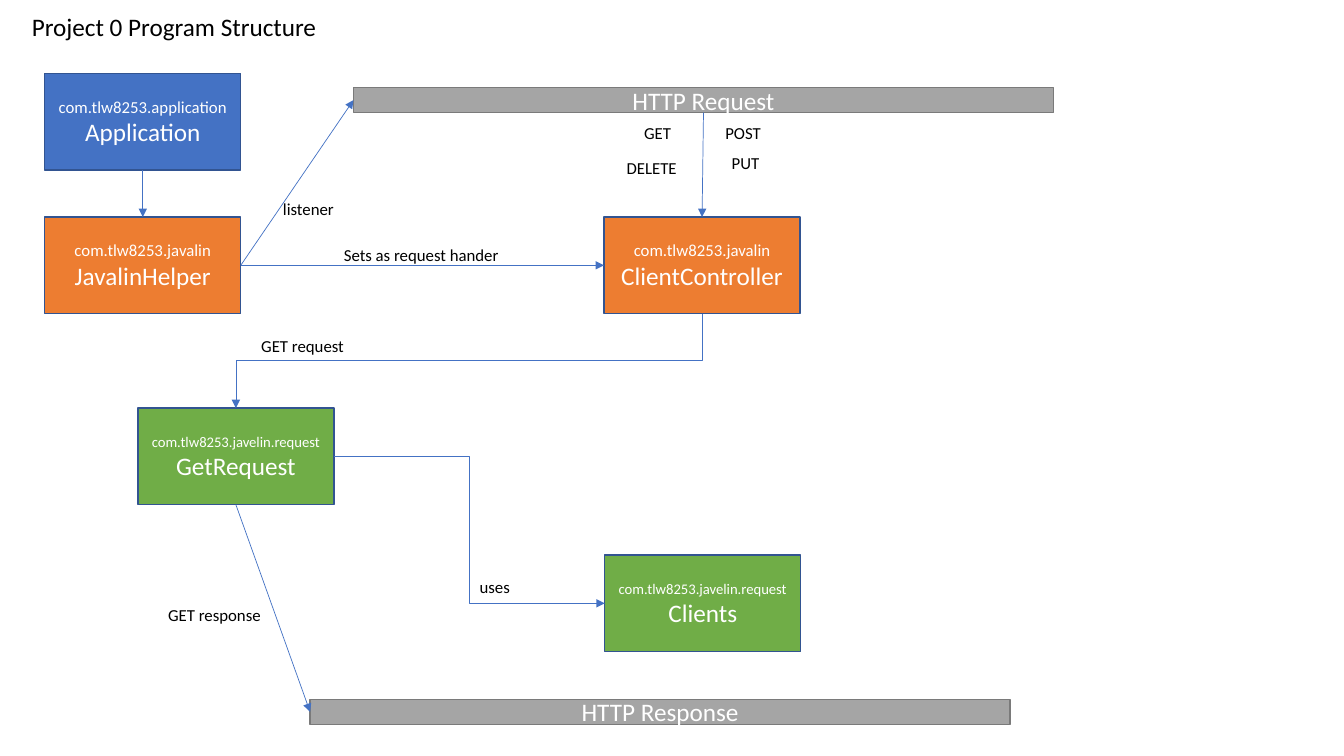
from dataclasses import dataclass

from lxml import etree
from pptx import Presentation
from pptx.dml.color import RGBColor
from pptx.enum import shapes, text
from pptx.oxml import ns
from pptx.util import Pt


@dataclass(frozen=True)
class Theme:
    font: str = "Calibri"
    ink: str = "000000"
    paper: str = "FFFFFF"
    entry: str = "4472C4"
    web: str = "ED7D31"
    request: str = "70AD47"
    http: str = "A5A5A5"
    class_edge: str = "325491"
    http_edge: str = "7A7A7A"
    arrow: str = "4472C4"
    heading: float = 18
    small: float = 12
    tiny: float = 10.5


@dataclass(frozen=True)
class Box:
    left: float
    top: float
    width: float
    height: float

    def inner(self, dx, dy, width, height):
        return Box(self.left + dx, self.top + dy, width, height)

    def lengths(self):
        return Pt(self.left), Pt(self.top), Pt(self.width), Pt(self.height)


THEME = Theme()
CLASS_SIZE = (140, 69)
HTTP_SIZE = (500, 18)
TOP, LEFT, BOTTOM, RIGHT = range(4)  # connection sites of a rectangle


# Basic parts
def write(paragraph, words, size=THEME.small, color=THEME.ink, align=text.PP_ALIGN.LEFT):
    paragraph.alignment = align
    run = paragraph.add_run()
    run.text = words
    run.font.name = THEME.font
    run.font.size = Pt(size)
    run.font.color.rgb = RGBColor.from_string(color)


def block(slide, box, lines, fill, edge):
    """Rectangle with centred lines, each given as (words, size)."""
    rect = slide.shapes.add_shape(shapes.MSO_SHAPE.RECTANGLE, *box.lengths())
    rect.shadow.inherit = False
    rect.fill.solid()
    rect.fill.fore_color.rgb = RGBColor.from_string(fill)
    rect.line.color.rgb = RGBColor.from_string(edge)
    rect.line.width = Pt(1)
    frame = rect.text_frame
    frame.word_wrap = True
    frame.vertical_anchor = text.MSO_ANCHOR.MIDDLE
    for i, (words, size) in enumerate(lines):
        paragraph = frame.add_paragraph() if i else frame.paragraphs[0]
        write(paragraph, words, size=size, color=THEME.paper, align=text.PP_ALIGN.CENTER)
    return rect


def class_block(slide, box, package, name, fill, package_size=THEME.small):
    lines = [(package, package_size), (name, THEME.heading)]
    return block(slide, box, lines, fill, THEME.class_edge)


def http_bar(slide, box, name):
    return block(slide, box, [(name, THEME.heading)], THEME.http, THEME.http_edge)


def label(slide, box, words):
    frame = slide.shapes.add_textbox(*box.lengths()).text_frame
    frame.word_wrap = True
    write(frame.paragraphs[0], words)


def arrow(slide, source, source_site, target, target_site, kind=shapes.MSO_CONNECTOR.STRAIGHT):
    link = slide.shapes.add_connector(kind, 0, 0, 0, 0)
    link.begin_connect(source, source_site)
    link.end_connect(target, target_site)
    link.line.color.rgb = RGBColor.from_string(THEME.arrow)
    link.line.width = Pt(0.5)
    etree.SubElement(link.line._get_or_add_ln(), ns.qn("a:tailEnd"), type="triangle")
    etree.SubElement(link._element.spPr, ns.qn("a:effectLst"))
    return link


def turn_downward(link):
    """Make an elbow that runs down and to the left start vertically."""
    across, down = link.width, link.height
    link.left += (across - down) // 2
    link.top += (down - across) // 2
    link.width, link.height = down, across
    frame = link._element.spPr.find(ns.qn("a:xfrm"))
    frame.attrib.pop("flipH", None)
    frame.set("rot", str(90 * 60000))


# Regions of the slide
def title_region(slide, box):
    title = slide.shapes.title
    title.left, title.top, title.width, title.height = box.lengths()
    frame = title.text_frame
    frame.word_wrap = True
    frame.auto_size = text.MSO_AUTO_SIZE.NONE
    frame.vertical_anchor = text.MSO_ANCHOR.TOP
    write(frame.paragraphs[0], "Project 0 Program Structure", size=THEME.heading)


def startup_region(slide, box):
    application = class_block(slide, box.inner(0, 0, *CLASS_SIZE),
                              "com.tlw8253.application", "Application", THEME.entry)
    helper = class_block(slide, box.inner(0, box.height - CLASS_SIZE[1], *CLASS_SIZE),
                         "com.tlw8253.javalin", "JavalinHelper", THEME.web)
    arrow(slide, application, BOTTOM, helper, TOP)
    return helper


def request_region(slide, box):
    http_request = http_bar(slide, box.inner(0, 0, *HTTP_SIZE), "HTTP Request")
    controller = class_block(slide, box.inner(179, box.height - CLASS_SIZE[1], *CLASS_SIZE),
                             "com.tlw8253.javalin", "ClientController", THEME.web)
    arrow(slide, http_request, BOTTOM, controller, TOP)
    for verb, dx, dy, width in (("GET", 200.5, 21.5, 40), ("POST", 258.5, 21.5, 45),
                                ("DELETE", 188, 46.5, 56), ("PUT", 263, 43, 40)):
        label(slide, box.inner(dx, dy, width, 22), verb)
    return http_request, controller


def response_region(slide, box):
    get_request = class_block(slide, box.inner(0, 0, *CLASS_SIZE), "com.tlw8253.javelin.request",
                              "GetRequest", THEME.request, package_size=THEME.tiny)
    clients = class_block(slide, box.inner(333.5, 105, *CLASS_SIZE), "com.tlw8253.javelin.request",
                          "Clients", THEME.request, package_size=THEME.tiny)
    http_response = http_bar(slide, box.inner(123, box.height - HTTP_SIZE[1], *HTTP_SIZE),
                             "HTTP Response")
    arrow(slide, get_request, RIGHT, clients, LEFT, kind=shapes.MSO_CONNECTOR.ELBOW)
    arrow(slide, get_request, BOTTOM, http_response, LEFT)
    label(slide, box.inner(237, 117, 46, 22), "uses")
    label(slide, box.inner(14.5, 137, 95, 22), "GET response")
    return get_request


def region_links(slide, box, helper, http_request, controller, get_request):
    arrow(slide, helper, RIGHT, http_request, LEFT)
    arrow(slide, helper, RIGHT, controller, LEFT)
    turn_downward(arrow(slide, controller, BOTTOM, get_request, TOP,
                        kind=shapes.MSO_CONNECTOR.ELBOW))
    for words, dx, dy, width in (("listener", 195, 138.5, 62),
                                 ("Sets as request hander", 238.5, 171, 140),
                                 ("GET request", 179.5, 236, 85)):
        label(slide, box.inner(dx, dy, width, 22), words)


def main():
    deck = Presentation()
    page = Box(0, 0, 960, 540)
    deck.slide_width, deck.slide_height = Pt(page.width), Pt(page.height)
    slide = deck.slides.add_slide(deck.slide_layouts[5])

    title_region(slide, page.inner(15.5, 4.5, 335, 29))
    helper = startup_region(slide, page.inner(32, 52.5, 140, 171.5))
    http_request, controller = request_region(slide, page.inner(252.5, 62.5, 500, 161.5))
    get_request = response_region(slide, page.inner(98.5, 291.5, 623, 226))
    region_links(slide, page, helper, http_request, controller, get_request)

    deck.save("out.pptx")


if __name__ == "__main__":
    main()
